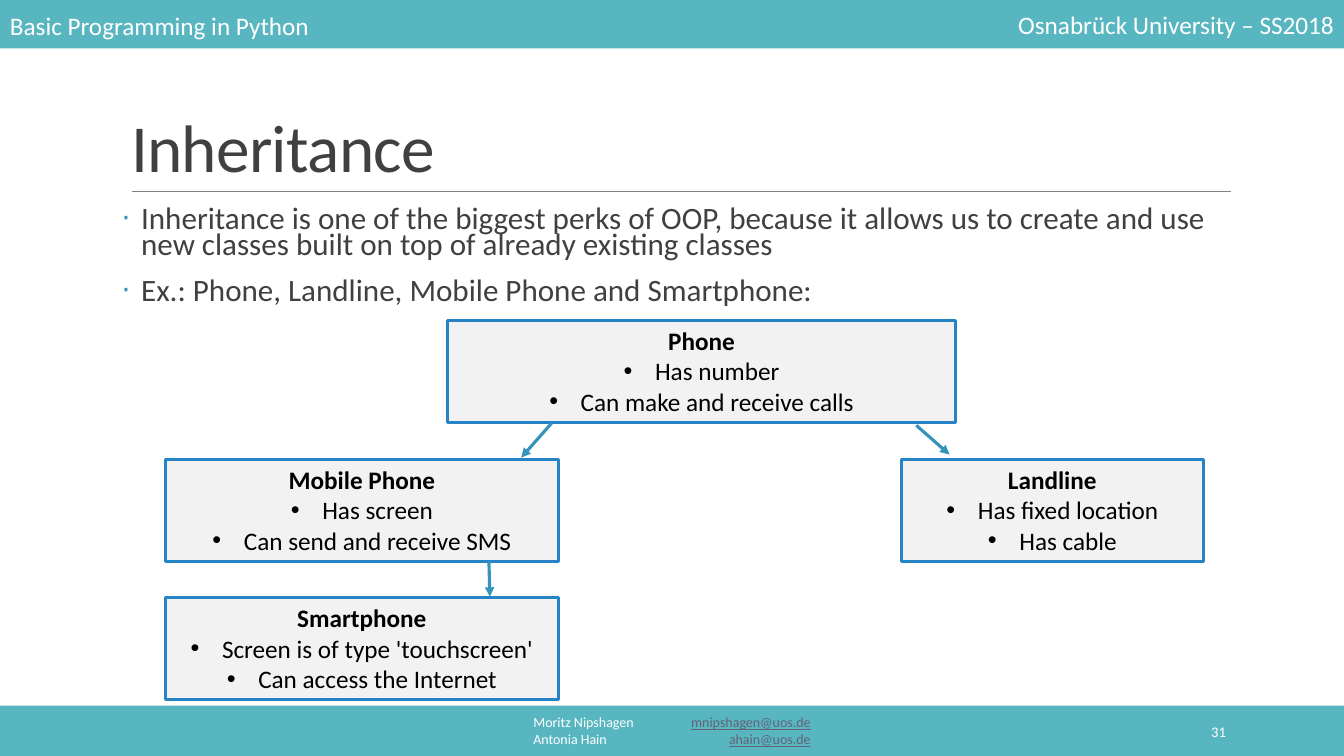
from dataclasses import dataclass

from lxml import etree
from pptx import Presentation
from pptx.dml.color import RGBColor
from pptx.enum.shapes import MSO_CONNECTOR, MSO_SHAPE
from pptx.enum.text import MSO_ANCHOR, MSO_AUTO_SIZE, PP_ALIGN
from pptx.oxml.ns import qn
from pptx.util import Inches, Pt

LEFT, CENTER, RIGHT = PP_ALIGN.LEFT, PP_ALIGN.CENTER, PP_ALIGN.RIGHT
TOP, MIDDLE, BOTTOM = MSO_ANCHOR.TOP, MSO_ANCHOR.MIDDLE, MSO_ANCHOR.BOTTOM
NO_FIT, GROW = MSO_AUTO_SIZE.NONE, MSO_AUTO_SIZE.SHAPE_TO_FIT_TEXT
RECTANGLE, STRAIGHT = MSO_SHAPE.RECTANGLE, MSO_CONNECTOR.STRAIGHT

COLORS = {
    "band": "58B6C0", "white": "FFFFFF", "mail": "636378", "heading": "404040",
    "rule": "808080", "accent": "3494BA", "class_fill": "F2F2F2",
    "class_edge": "2683C6", "class_text": "000000",
}

deck = Presentation()
deck.slide_width, deck.slide_height = Inches(13.33), Inches(7.5)
COLUMN, ROW = deck.slide_width / 100, deck.slide_height / 100
slide = deck.slides.add_slide(deck.slide_layouts[1])


@dataclass(frozen=True)
class Area:
    left: float
    top: float
    width: float
    height: float

    def emu(self) -> dict[str, int]:
        return {
            "left": round(self.left * COLUMN), "top": round(self.top * ROW),
            "width": round(self.width * COLUMN), "height": round(self.height * ROW),
        }


@dataclass(frozen=True)
class ClassCard:
    name: str
    traits: tuple[str, ...]
    left: float
    top: float
    width: float


@dataclass(frozen=True)
class Arrow:
    start: tuple[float, float]
    end: tuple[float, float]


def rgb(key: str) -> RGBColor:
    return RGBColor.from_string(COLORS[key])


def apply(target, values: dict) -> None:
    for attribute, value in values.items():
        setattr(target, attribute, value)


def write(paragraph, text: str, size: float, color: str, **font_values):
    run = paragraph.add_run()
    run.text = text
    apply(run.font, {"name": "Calibri", "size": Pt(size), **font_values})
    run.font.color.rgb = rgb(color)
    return run


def add_bullet(paragraph, mark: str, color: str, indent: float) -> None:
    properties = paragraph._p.get_or_add_pPr()
    hang = round(indent * COLUMN)
    properties.set("marL", str(hang))
    properties.set("indent", str(-hang))
    bullet_color = etree.SubElement(properties, qn("a:buClr"))
    etree.SubElement(bullet_color, qn("a:srgbClr"), val=COLORS[color])
    etree.SubElement(properties, qn("a:buFont"), typeface="Arial")
    etree.SubElement(properties, qn("a:buChar"), char=mark)


def add_panel(area: Area, fill: str):
    panel = slide.shapes.add_shape(RECTANGLE, **area.emu())
    panel.shadow.inherit = False
    panel.fill.solid()
    panel.fill.fore_color.rgb = rgb(fill)
    panel.line.fill.background()
    return panel


def add_line(start: tuple[float, float], end: tuple[float, float], color: str, width: float):
    line = slide.shapes.add_connector(
        STRAIGHT, round(start[0] * COLUMN), round(start[1] * ROW),
        round(end[0] * COLUMN), round(end[1] * ROW))
    line.line.color.rgb = rgb(color)
    line.line.width = Pt(width)
    etree.SubElement(line._element.spPr, qn("a:effectLst"))
    return line


def add_label(area: Area, text: str, size: float, align: PP_ALIGN) -> None:
    frame = slide.shapes.add_textbox(**area.emu()).text_frame
    apply(frame, {"word_wrap": True, "vertical_anchor": MIDDLE})
    frame.paragraphs[0].alignment = align
    write(frame.paragraphs[0], text, size, "white")


def add_contacts(area: Area, contacts: dict[str, str]) -> None:
    frame = slide.shapes.add_textbox(**area.emu()).text_frame
    apply(frame, {"word_wrap": True, "vertical_anchor": MIDDLE})
    for index, (person, mail) in enumerate(contacts.items()):
        paragraph = frame.add_paragraph() if index else frame.paragraphs[0]
        paragraph.alignment = CENTER
        tabs = etree.SubElement(paragraph._p.get_or_add_pPr(), qn("a:tabLst"))
        etree.SubElement(tabs, qn("a:tab"), pos=str(round(20.63 * COLUMN)), algn="r")
        write(paragraph, f"{person}\t", 10, "white")
        write(paragraph, mail, 10, "mail", underline=True)


def add_card(card: ClassCard) -> None:
    panel = add_panel(Area(card.left, card.top, card.width, 13.47), "class_fill")
    panel.line.color.rgb = rgb("class_edge")
    panel.line.width = Pt(2.25)
    frame = panel.text_frame
    apply(frame, {"word_wrap": True, "vertical_anchor": TOP, "auto_size": GROW})
    frame.paragraphs[0].alignment = CENTER
    write(frame.paragraphs[0], card.name, 18, "class_text", bold=True)
    for trait in card.traits:
        paragraph = frame.add_paragraph()
        paragraph.alignment = CENTER
        add_bullet(paragraph, "•", "class_text", 2.34)
        write(paragraph, trait, 18, "class_text", bold=False)


def add_arrow(arrow: Arrow) -> None:
    outline = add_line(arrow.start, arrow.end, "accent", 2.25).line
    etree.SubElement(outline._get_or_add_ln(), qn("a:tailEnd"), type="triangle")


def fill_title(text: str) -> None:
    title = slide.shapes.title
    apply(title, Area(9, 14.4, 82.5, 10.93).emu())
    apply(title.text_frame, {"word_wrap": True, "vertical_anchor": BOTTOM, "auto_size": NO_FIT})
    paragraph = title.text_frame.paragraphs[0]
    apply(paragraph, {"alignment": LEFT, "line_spacing": 0.85})
    run = write(paragraph, text, 48, "heading")
    run.font._element.set("spc", "-50")


def fill_body(points: tuple[str, ...]) -> None:
    body = slide.placeholders[1]
    apply(body, Area(9, 26.93, 82.5, 15.47).emu())
    frame = body.text_frame
    apply(frame, {"word_wrap": True, "vertical_anchor": TOP, "auto_size": NO_FIT,
                  "margin_left": 0, "margin_right": 0})
    for index, point in enumerate(points):
        paragraph = frame.add_paragraph() if index else frame.paragraphs[0]
        apply(paragraph, {"alignment": LEFT, "line_spacing": 0.7,
                          "space_before": Pt(12), "space_after": Pt(2)})
        add_bullet(paragraph, "·", "accent", 1.5)
        write(paragraph, point, 22.2, "heading")


CARDS = (
    ClassCard("Phone", ("Has number", "Can make\u00a0and\u00a0receive calls"), 33.3, 42.4, 37.8),
    ClassCard("Mobile Phone", ("Has screen", "Can send\u00a0and receive SMS"), 12.3, 60.8, 29.25),
    ClassCard("Landline", ("Has\u00a0fixed\u00a0location", "Has cable"), 67.05, 60.8, 22.5),
    ClassCard("Smartphone", ("Screen is\u00a0of type 'touchscreen'", "Can access the Internet"),
              12.3, 79.07, 29.25),
)
ARROWS = (
    Arrow((68.18, 56.27), (70.65, 60.13)),
    Arrow((41.03, 56), (38.78, 60.53)),
    Arrow((36.38, 74.27), (36.45, 78.93)),
)

for band_top in (-0.27, 93.33):
    add_panel(Area(0, band_top, 100, 6.67), "band")
add_line((9.82, 25.33), (91.6, 25.33), "rule", 0.5)
add_label(Area(0, 0.67, 39.5, 5.33), "Basic Programming in Python", 18, LEFT)
add_label(Area(60.5, 0.53, 39.5, 5.33), "Osnabrück University – SS2018", 18, RIGHT)
add_contacts(Area(30.25, 94, 39.5, 5.33), {
    "Moritz Nipshagen": "mnipshagen@uos.de", "Antonia Hain": "ahain@uos.de"})
add_label(Area(81.22, 94.13, 10.73, 5.33), "31", 10.5, RIGHT)
fill_title("Inheritance")
fill_body((
    "Inheritance is one of the biggest perks of OOP, because it allows us to\u00a0create and use "
    "new classes built on top of already existing classes",
    "Ex.: Phone, Landline, Mobile Phone and Smartphone:",
))
for class_card in CARDS:
    add_card(class_card)
for inheritance in ARROWS:
    add_arrow(inheritance)

deck.save("out.pptx")
